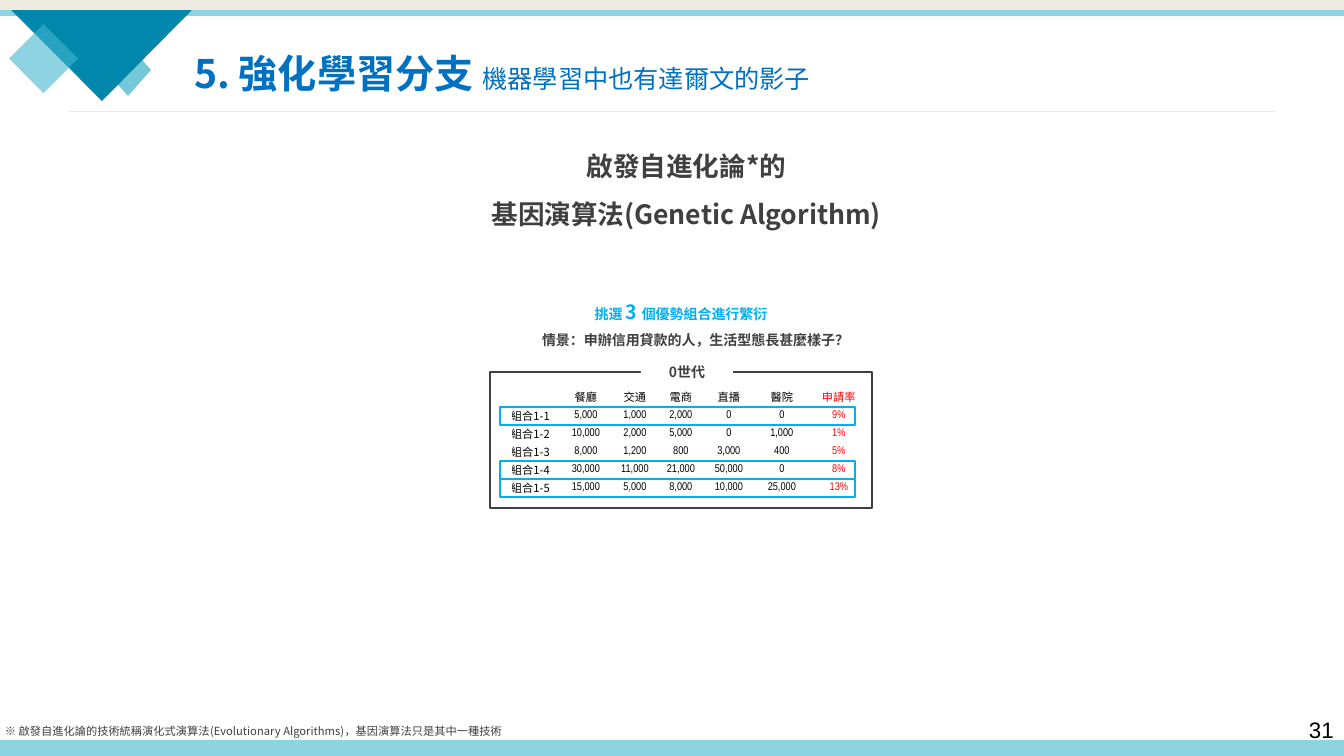
from lxml.etree import SubElement
from pptx import Presentation
from pptx.dml.color import RGBColor
from pptx.enum.shapes import MSO_CONNECTOR, MSO_SHAPE as SHAPE
from pptx.enum.text import MSO_ANCHOR as ANCHOR, MSO_AUTO_SIZE, PP_ALIGN as ALIGN
from pptx.oxml.ns import qn
from pptx.util import Emu, Pt

WHITE, BLACK, RED = RGBColor(255, 255, 255), RGBColor(0, 0, 0), RGBColor(255, 0, 0)
GRAY, CREAM = RGBColor(0x40, 0x40, 0x40), RGBColor(0xEE, 0xEC, 0xE1)
BLUE, SKY = RGBColor(0x00, 0x70, 0xC0), RGBColor(0x00, 0xB0, 0xF0)
AQUA, TEAL = RGBColor(0x8D, 0xD4, 0xE3), RGBColor(0x01, 0x87, 0xAC)
SEA, LAGOON = RGBColor(0x1A, 0xA4, 0xBE), RGBColor(0x41, 0xB7, 0xD0)
CJK, NARROW, ARIAL = "Noto Sans CJK SC", "Arial Narrow", "Arial"

# Each paragraph is a list of (text, format) spans.
TITLE = [[("5. 強化學習分支 ", dict(size=28, color=BLUE, bold=True)),
          ("機器學習中也有達爾文的影子", dict(size=18, color=BLUE, bold=False))]]
HEADING = dict(size=19, color=GRAY, bold=True)
CAPTION = dict(size=10, color=GRAY, bold=True)
PICK = dict(size=10, color=SKY, bold=True)
NOTE = dict(size=8, color=GRAY)
# left, top, width, height; paragraphs; layout
TEXTS = [
    ((403, 129, 567, 101), [[("啟發自進化論*的", HEADING)],
                            [("基因演算法(Genetic Algorithm)", HEADING)]], {}),
    ((-5, 713, 709, 28),
     [[("※ 啟發自進化論的技術統稱演化式演算法(Evolutionary Algorithms)，基因演算法只是其中一種技術", NOTE)]],
     dict(align=ALIGN.LEFT)),
    ((526, 318, 339, 32), [[("情景：申辦信用貸款的人，生活型態長甚麼樣子？", CAPTION)]], {}),
    ((579, 283, 204, 41), [[("挑選 ", PICK), ("3 ", dict(PICK, size=14)),
                            ("個優勢組合進行繁衍", PICK)]], {}),
    ((641, 350, 92, 32), [[("0世代", CAPTION)]], dict(fill=WHITE)),
    ((1299, 711, 45, 37), [[("31", dict(size=16, color=BLACK, font=ARIAL))]],
     dict(align=ALIGN.LEFT, spacing=1, wrap=False)),
]
HEADER = ["", "餐廳", "交通", "電商", "直播", "醫院", "申請率"]
GENERATION = [
    ("組合1-1", "5,000", "1,000", "2,000", "0", "0", "9%"),
    ("組合1-2", "10,000", "2,000", "5,000", "0", "1,000", "1%"),
    ("組合1-3", "8,000", "1,200", "800", "3,000", "400", "5%"),
    ("組合1-4", "30,000", "11,000", "21,000", "50,000", "0", "8%"),
    ("組合1-5", "15,000", "5,000", "8,000", "10,000", "25,000", "13%"),
]
CHOSEN = [0, 3, 4]
TABLE_LEFT, TABLE_TOP, HEADER_HEIGHT, ROW_HEIGHT = 511, 386, 21, 18
COLUMN_WIDTHS = [51, 48, 50, 42, 54, 52, 62]
FRAME = (490, 372, 382, 136)
TRIANGLE = [(17, 0), (185, 0), (194, 8), (102, 101), (9, 8)]


def px(value):
    return Emu(round(value * 914400 / 100.8))


def add_block(slide, kind, place, fill=None, line=None, width=1, opacity=None):
    block = slide.shapes.add_shape(kind, *map(px, place))
    paint(block, fill, line, width)
    if opacity:
        color = block.fill._xPr.find(qn("a:solidFill"))[0]
        SubElement(color, qn("a:alpha"), val=str(opacity * 1000))


def paint(shape, fill=None, line=None, width=1):
    shape.shadow.inherit = False
    for part, color in ((shape.fill, fill), (shape.line.fill, line)):
        if color is None:
            part.background()
        else:
            part.solid()
            part.fore_color.rgb = color
    if line is not None:
        shape.line.width = Pt(width)


def add_span(para, text, size, color, bold=False, font=CJK):
    span = para.add_run()
    span.text = text
    for name, value in dict(size=Pt(size), bold=bold, name=font).items():
        setattr(span.font, name, value)
    span.font.color.rgb = color
    SubElement(span.font._element, qn("a:ea"), typeface=font)


def write(box, paragraphs, align=ALIGN.CENTER, spacing=1.5, wrap=True, fill=None):
    if fill is not None:
        box.fill.solid()
        box.fill.fore_color.rgb = fill
    frame = box.text_frame
    settings = dict(word_wrap=wrap, auto_size=MSO_AUTO_SIZE.NONE, vertical_anchor=ANCHOR.TOP)
    for name, value in settings.items():
        setattr(frame, name, value)
    for index, spans in enumerate(paragraphs):
        para = frame.add_paragraph() if index else frame.paragraphs[0]
        para.alignment, para.line_spacing, para.space_before = align, spacing, Pt(0)
        for text, style in spans:
            add_span(para, text, **style)


def add_decoration(slide):
    add_block(slide, SHAPE.DIAMOND, (105, 44, 46, 52), SEA, opacity=60)
    add_block(slide, SHAPE.RECTANGLE, (0, 0, 1344, 16), AQUA)
    builder = slide.shapes.build_freeform(*TRIANGLE[0], scale=px(1))
    builder.add_line_segments(TRIANGLE[1:], close=True)
    paint(builder.convert_to_shape(), TEAL)
    add_block(slide, SHAPE.DIAMOND, (9, 24, 69, 69), LAGOON, opacity=60)
    add_block(slide, SHAPE.RECTANGLE, (0, 740, 1344, 16), AQUA)
    add_block(slide, SHAPE.RECTANGLE, (0, 0, 1344, 10), CREAM)
    rule = slide.shapes.add_connector(MSO_CONNECTOR.STRAIGHT, *map(px, (68, 111, 1276, 111)))
    rule.line.color.rgb, rule.line.width = CREAM, Pt(0.5)
    SubElement(rule._element.spPr, qn("a:effectLst"))


def add_generation(slide):
    rows = [HEADER, *GENERATION]
    heights = [HEADER_HEIGHT] + [ROW_HEIGHT] * len(GENERATION)
    place = (TABLE_LEFT, TABLE_TOP, sum(COLUMN_WIDTHS), sum(heights))
    table = slide.shapes.add_table(len(rows), len(HEADER), *map(px, place)).table
    table.first_row = table.horz_banding = False
    for column, width in zip(table.columns, COLUMN_WIDTHS):
        column.width = px(width)
    for r, (values, height) in enumerate(zip(rows, heights)):
        table.rows[r].height = px(height)
        for c, value in enumerate(values):
            cell = table.cell(r, c)
            cell.fill.background()
            for side in ("left", "right", "top", "bottom"):
                setattr(cell, f"margin_{side}", 0)
            cell.vertical_anchor = ANCHOR.MIDDLE
            para = cell.text_frame.paragraphs[0]
            para.alignment = ALIGN.CENTER if c else ALIGN.LEFT
            if value:
                add_span(para, value, 8, RED if c == len(HEADER) - 1 else BLACK,
                         font=NARROW if r and c else CJK)
            else:
                SubElement(para._p, qn("a:endParaRPr"), sz="800")
    add_block(slide, SHAPE.RECTANGLE, FRAME, line=GRAY)
    for row in CHOSEN:
        top = TABLE_TOP + HEADER_HEIGHT + row * ROW_HEIGHT
        add_block(slide, SHAPE.RECTANGLE, (500, top, 355, ROW_HEIGHT), line=SKY, width=1.5)


def main():
    deck = Presentation()
    deck.slide_width, deck.slide_height = px(1344), px(756)
    slide = deck.slides.add_slide(deck.slide_layouts[5])
    add_decoration(slide)
    title = slide.shapes.title
    title.left, title.top, title.width, title.height = map(px, (184, 21, 1021, 73))
    write(title, TITLE, ALIGN.LEFT)
    add_generation(slide)
    for place, paragraphs, layout in TEXTS:
        write(slide.shapes.add_textbox(*map(px, place)), paragraphs, **layout)
    deck.save("out.pptx")


if __name__ == "__main__":
    main()
